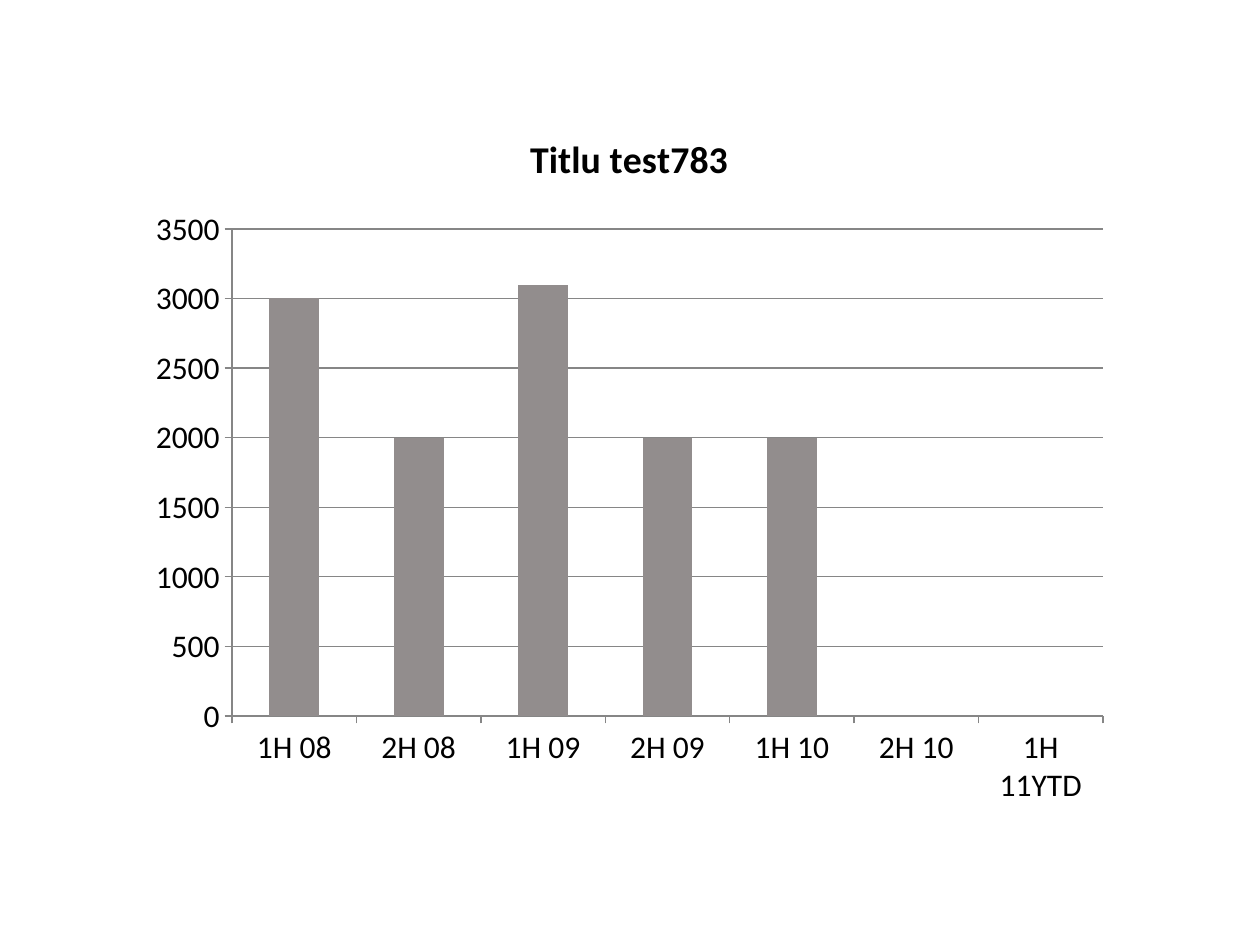
from pptx import Presentation
from pptx.chart.data import CategoryChartData as Data
from pptx.dml.color import RGBColor as Color
from pptx.enum.chart import XL_CHART_TYPE as Kind, XL_TICK_MARK as Tick
from pptx.util import Inches, Pt

TITLE = "Titlu test783"
SALES = {
    "1H 08": 3000,
    "2H 08": 2000,
    "1H 09": 3100,
    "2H 09": 2000,
    "1H 10": 2000,
    "2H 10": 0,
    "1H 11YTD": 0,
}


def paint(part, shade):
    """Give a fill or line format one solid colour."""
    fill = getattr(part, "fill", part)
    fill.solid()
    fill.fore_color.rgb = Color.from_string(shade)


def style(font, size, bold=False):
    """Set the face, size, weight and colour of a font."""
    font.name = "Calibri"
    font.size = Pt(size)
    font.bold = bold
    font.color.rgb = Color.from_string("000000")


def rule(line):
    """Draw an axis or grid line in thin grey."""
    paint(line, "868686")
    line.width = Pt(0.75)


def add_bars(slide, box):
    """Place the titled column chart in the given box."""
    data = Data()
    data.categories = list(SALES)
    data.add_series(TITLE, list(SALES.values()))
    frame = slide.shapes.add_chart(Kind.COLUMN_CLUSTERED, *map(Inches, box), data)
    chart = frame.chart
    style(chart.font, 18)
    chart.has_legend = False
    chart.has_title = True
    text = chart.chart_title.text_frame
    text.text = TITLE
    style(text.paragraphs[0].runs[0].font, 21.6, True)

    plot = chart.plots[0]
    plot.gap_width = 150
    plot.vary_by_categories = False
    paint(plot.series[0].format, "928D8D")

    for axis in (chart.category_axis, chart.value_axis):
        axis.major_tick_mark = Tick.OUTSIDE
        axis.minor_tick_mark = Tick.NONE
        rule(axis.format.line)
    scale = chart.value_axis
    scale.minimum_scale, scale.maximum_scale = 0, 3500
    scale.major_unit = 500
    scale.has_major_gridlines = True
    rule(scale.major_gridlines.format.line)


def main():
    """Build the slide and save it."""
    deck = Presentation()
    deck.slide_width, deck.slide_height = Inches(10), Inches(7.5)
    slide = deck.slides.add_slide(deck.slide_layouts[6])
    add_bars(slide, (1.08, 0.83, 7.83, 5.67))
    deck.save("out.pptx")


if __name__ == "__main__":
    main()
